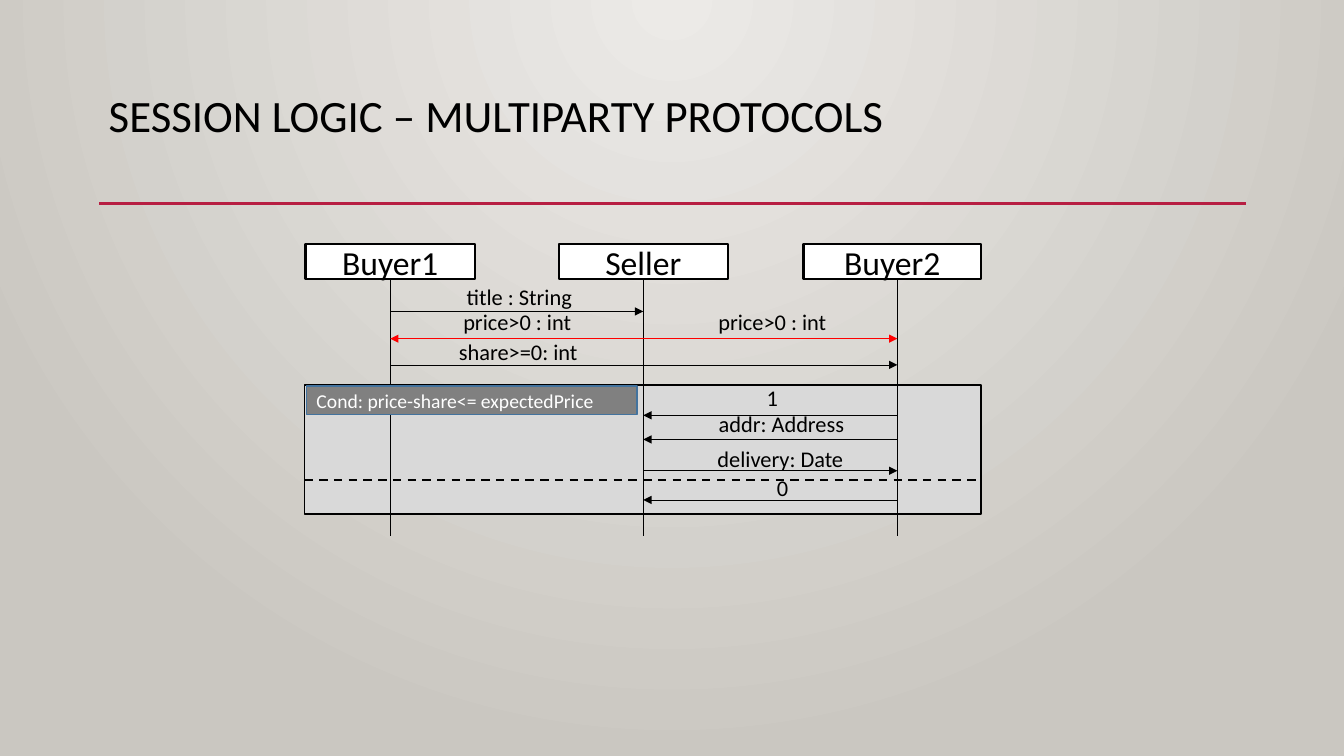
import lxml.etree
import pptx
import pptx.dml.color
import pptx.enum.dml
import pptx.enum.shapes
import pptx.enum.text
import pptx.oxml.ns
import pptx.util

Inches = pptx.util.Inches
RGBColor = pptx.dml.color.RGBColor
ALIGN = pptx.enum.text.PP_ALIGN
ANCHOR = pptx.enum.text.MSO_ANCHOR
qn = pptx.oxml.ns.qn

BLACK = RGBColor(0x00, 0x00, 0x00)
WHITE = RGBColor(0xFF, 0xFF, 0xFF)
RED = RGBColor(0xFF, 0x00, 0x00)
CRIMSON = RGBColor(0xB7, 0x1E, 0x42)
FRAME_GREY = RGBColor(0xD9, 0xD9, 0xD9)
CONDITION_GREY = RGBColor(0x80, 0x80, 0x80)
CONDITION_EDGE = RGBColor(0x43, 0x73, 0x9E)
GLOW_CENTRE = RGBColor(0xEC, 0xEA, 0xE7)
GLOW_EDGE = RGBColor(0xCA, 0xC7, 0xC1)

LIFELINES = {"Buyer1": 0.85, "Seller": 3.36, "Buyer2": 5.88}
HEADERS = [("Buyer1", 0.01, 1.68), ("Seller", 2.52, 1.68), ("Buyer2", 4.95, 1.76)]
MESSAGES = [
    ("Buyer1", "Seller", 0.67, BLACK),
    ("Seller", "Buyer1", 0.94, RED),
    ("Seller", "Buyer2", 0.94, RED),
    ("Buyer1", "Buyer2", 1.2, BLACK),
    ("Buyer2", "Seller", 1.7, BLACK),
    ("Buyer2", "Seller", 1.94, BLACK),
    ("Seller", "Buyer2", 2.25, BLACK),
    ("Buyer2", "Seller", 2.54, BLACK),
]
LABELS = [
    ("title : String", 2.13, 0.34),
    ("price>0 : int", 2.11, 0.59),
    ("price>0 : int", 4.64, 0.59),
    ("share>=0: int", 2.12, 0.89),
    ("1", 4.64, 1.34),
    ("addr: Address", 4.73, 1.6),
    ("delivery: Date", 4.72, 1.95),
    ("0", 4.74, 2.23),
]


def write_text(shape, text, size, colour, align, anchor):
    """Write one formatted paragraph into a shape."""
    frame = shape.text_frame
    frame.word_wrap = True
    frame.vertical_anchor = anchor
    para = frame.paragraphs[0]
    para.alignment = align
    span = para.add_run()
    span.text = text
    formats = {"name": "Calibri", "size": pptx.util.Pt(size)}
    for name, value in formats.items():
        setattr(span.font, name, value)
    span.font.color.rgb = colour
    return para


def add_text(page, box, text, size, align):
    """Add a black text box and return its paragraph."""
    shape = page.shapes.add_textbox(*map(Inches, box))
    return write_text(shape, text, size, BLACK, align, ANCHOR.TOP)


def add_box(page, box, fill, edge, width):
    """Add a filled and outlined rectangle."""
    kind = pptx.enum.shapes.MSO_SHAPE.RECTANGLE
    shape = page.shapes.add_shape(kind, *map(Inches, box))
    shape.shadow.inherit = False
    shape.fill.solid()
    shape.fill.fore_color.rgb = fill
    shape.line.color.rgb = edge
    shape.line.width = pptx.util.Pt(width)
    return shape


def add_line(page, start, end, colour, width, arrow=False):
    """Add a straight line, with an arrowhead at its end if wanted."""
    kind = pptx.enum.shapes.MSO_CONNECTOR.STRAIGHT
    line = page.shapes.add_connector(kind, *map(Inches, (*start, *end)))
    line.line.color.rgb = colour
    line.line.width = pptx.util.Pt(width)
    properties = line.element.spPr
    if arrow:
        outline = properties.find(qn("a:ln"))
        lxml.etree.SubElement(outline, qn("a:tailEnd"), type="triangle")
    lxml.etree.SubElement(properties, qn("a:effectLst"))
    return line


def paint_background(page):
    """Fill the page with a glow that spreads from the top centre."""
    fill = page.background.fill
    fill.gradient()
    for stop, colour in zip(fill.gradient_stops, (GLOW_CENTRE, GLOW_EDGE)):
        stop.color.rgb = colour
    linear = page.element.find(".//" + qn("a:lin"))
    gradient = linear.getparent()
    gradient.remove(linear)
    circle = lxml.etree.SubElement(gradient, qn("a:path"), path="circle")
    sides = {"l": "43000", "t": "0", "r": "43000", "b": "100000"}
    lxml.etree.SubElement(circle, qn("a:fillToRect"), sides)


def add_title(page, box):
    """Place the title with a rule along the bottom of its box."""
    left, top, width, height = box
    bottom = top + height
    add_line(page, (left, bottom), (left + width, bottom), CRIMSON, 2.5)
    text = "SESSION LOGIC – MULTIPARTY PROTOCOLS"
    add_text(page, box, text, 32, ALIGN.LEFT).line_spacing = 0.9


def add_participants(page, box):
    """Place the participants along the top with their lifelines."""
    left, top, width, height = box
    for name, offset, header_width in HEADERS:
        header_box = (left + offset, top, header_width, 0.35)
        header = add_box(page, header_box, WHITE, BLACK, 1.5)
        write_text(header, name, 24, BLACK, ALIGN.CENTER, ANCHOR.MIDDLE)
        x = left + LIFELINES[name]
        lifeline = add_line(page, (x, top + 0.35), (x, top + height), BLACK, 0.5)
        if abs(offset + header_width / 2 - LIFELINES[name]) < 0.01:
            lifeline.begin_connect(header, 2)


def add_condition(page, box):
    """Place the guard and the dashed divider of the conditional frame."""
    left, top, width, height = box
    guard_box = (left + 0.02, top + 0.01, 3.28, 0.28)
    guard = add_box(page, guard_box, CONDITION_GREY, CONDITION_EDGE, 1)
    text = "Cond: price-share<= expectedPrice"
    write_text(guard, text, 14, WHITE, ALIGN.LEFT, ANCHOR.MIDDLE)
    middle = top + 0.94
    divider = add_line(page, (left, middle), (left + width, middle), BLACK, 1.5)
    divider.line.dash_style = pptx.enum.dml.MSO_LINE.DASH


def add_messages(page, box):
    """Place the message arrows and their labels."""
    left, top, width, height = box
    for sender, receiver, offset, colour in MESSAGES:
        start, end = ((left + LIFELINES[name], top + offset) for name in (sender, receiver))
        add_line(page, start, end, colour, 0.5, arrow=True)
    label_width = 1.62
    for text, centre, offset in LABELS:
        label_box = (left + centre - label_width / 2, top + offset, label_width, 0.37)
        add_text(page, label_box, text, 16, ALIGN.CENTER)


def add_sequence(page, box):
    """Layer the frame, lifelines, condition and messages from back to front."""
    left, top, width, height = box
    branch_box = (left, top + 1.4, width, 1.28)
    add_box(page, branch_box, FRAME_GREY, BLACK, 1)
    add_participants(page, box)
    add_condition(page, branch_box)
    add_messages(page, box)


def main():
    """Build the deck and save it."""
    deck = pptx.Presentation()
    deck.slide_width = Inches(13.33)
    deck.slide_height = Inches(7.5)
    page = deck.slides.add_slide(deck.slide_layouts[6])
    paint_background(page)
    add_title(page, (0.98, 0.88, 11.38, 1.14))
    add_sequence(page, (3.02, 2.42, 6.71, 2.9))
    deck.save("out.pptx")


if __name__ == "__main__":
    main()
